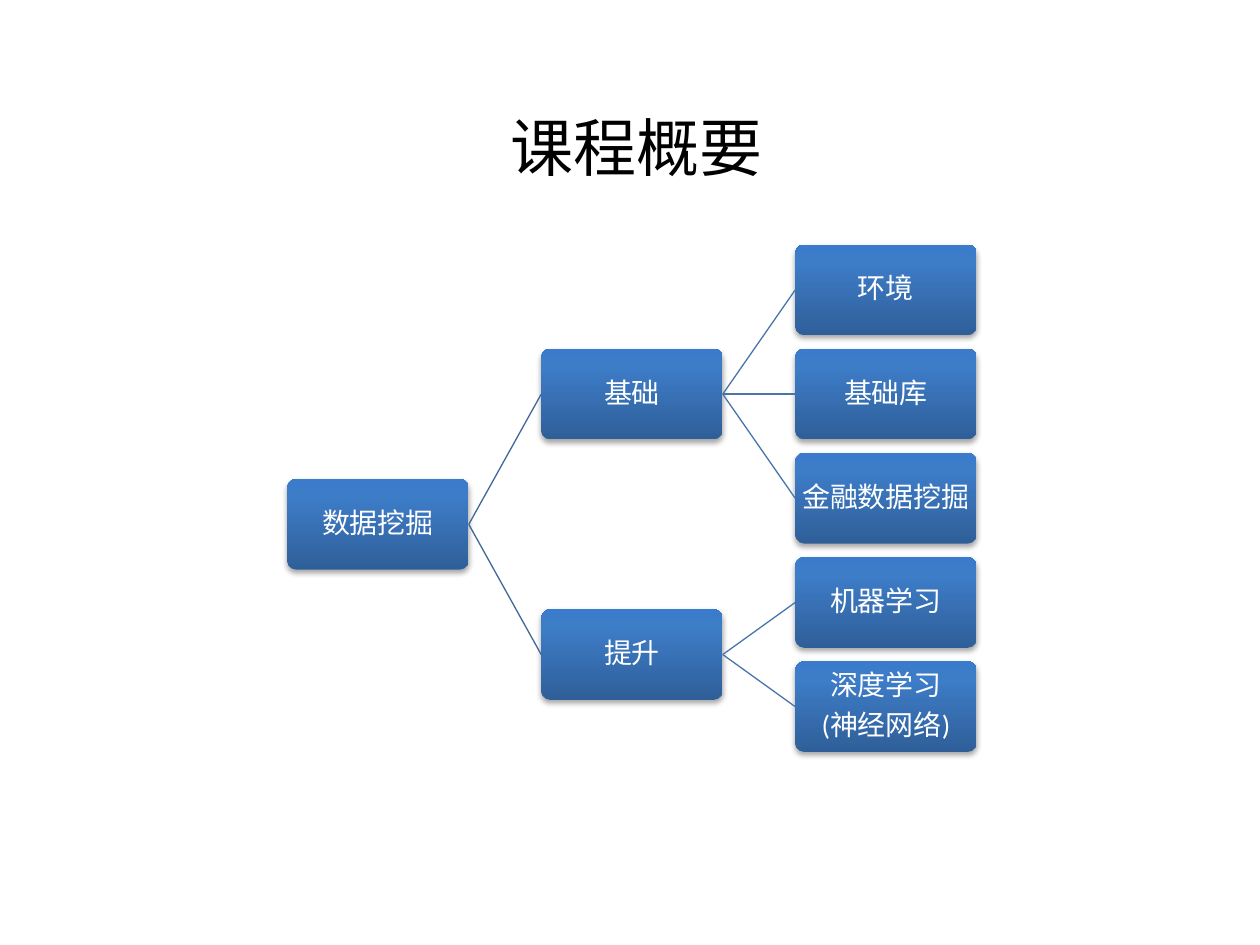
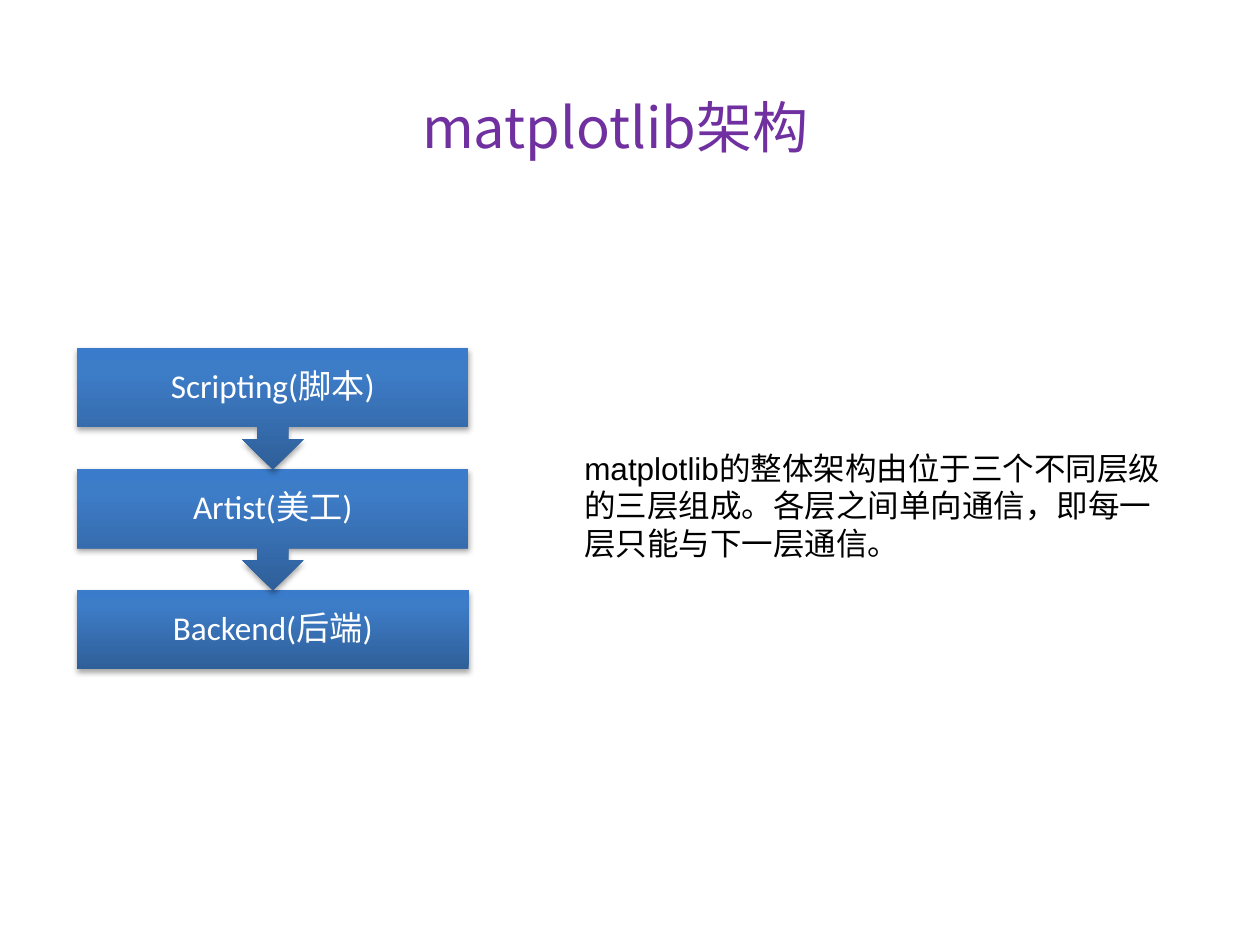
from copy import deepcopy

from lxml.etree import SubElement
from pptx import Presentation
from pptx.dml.color import RGBColor
from pptx.enum.shapes import MSO_CONNECTOR as Connector, MSO_SHAPE as Preset
from pptx.enum.text import MSO_ANCHOR as Anchor, PP_ALIGN as Align
from pptx.oxml.ns import qn
from pptx.util import Cm, Pt

COLORS = {
    "black": "000000",
    "white": "FFFFFF",
    "purple": "7030A0",
    "deep": "2F5F99",
    "middle": "3D7CC7",
    "bright": "3A7CCB",
    "trunk": "3F6797",
    "branch": "4875AC",
}
GRADIENT = [(0, "deep"), (0.8, "middle"), (1, "bright")]
SHADOW = {"blurRad": "40000", "dist": "23000", "dir": "5400000", "rotWithShape": "0"}
TITLE_FONT = "Noto Sans CJK JP"

NODE_WIDTH, NODE_HEIGHT = 3.66, 1.83
COLUMN_LEFT, COLUMN_PITCH = 5.79, 5.12
ROW_TOP, ROW_PITCH = 4.93, 2.1
COURSE = ("数据挖掘", [
    ("基础", [("环境", []), ("基础库", []), ("金融数据挖掘", [])]),
    ("提升", [("机器学习", []), ("深度学习\n(神经网络)", [])]),
])

LAYERS = ["Scripting(脚本)", "Artist(美工)", "Backend(后端)"]
LAYER_LEFT, LAYER_TOP, LAYER_PITCH = 1.55, 7.01, 2.44
LAYER_WIDTH, LAYER_HEIGHT, CALLOUT_HEIGHT = 7.9, 1.6, 2.46


def color(name):
    return RGBColor.from_string(COLORS[name])


def assign(target, values):
    for name, value in values.items():
        setattr(target, name, value)


class SlideBuilder:
    def __init__(self, deck):
        self.deck = deck
        self.page = None

    def new_page(self):
        self.page = self.deck.slides.add_slide(self.deck.slide_layouts[6])

    def set_text(self, shape, text, font, size, ink, frame=None, para_format=None):
        assign(shape.text_frame, {"word_wrap": True, **(frame or {})})
        shape.text_frame.text = text
        for para in shape.text_frame.paragraphs:
            assign(para, para_format or {})
            for span in para.runs:
                assign(span.font, {"name": font, "size": Pt(size)})
                span.font.color.rgb = color(ink)

    def text_box(self, place, *style, **formats):
        box = self.page.shapes.add_textbox(*map(Cm, place))
        self.set_text(box, *style, **formats)
        return box

    def title(self, place, text, size, ink):
        box = self.text_box(place, text, TITLE_FONT, size, ink,
                            frame={"vertical_anchor": Anchor.BOTTOM},
                            para_format={"alignment": Align.CENTER})
        span = box.text_frame.paragraphs[0].runs[0]
        SubElement(span.font._element, qn("a:ea"), typeface=TITLE_FONT)

    def block(self, preset, place, text, size, inset):
        shape = self.page.shapes.add_shape(preset, *map(Cm, place))
        shape.line.fill.background()
        self.shade(shape)
        margins = {f"margin_{side}": Cm(inset)
                   for side in ("left", "top", "right", "bottom")}
        self.set_text(shape, text, "Calibri", size, "white",
                      frame={"vertical_anchor": Anchor.MIDDLE, **margins},
                      para_format={"alignment": Align.CENTER, "line_spacing": 0.9,
                                   "space_after": Pt(size * 0.35)})
        return shape

    def shade(self, shape):
        shape.fill.gradient()
        shape.fill.gradient_angle = 90
        properties = shape._element.spPr
        stops = properties.find(".//" + qn("a:gsLst"))
        stops.append(deepcopy(stops[-1]))
        for stop, (position, name) in zip(shape.fill.gradient_stops, GRADIENT):
            stop.position = position
            stop.color.rgb = color(name)
        shape.shadow.inherit = False
        effects = properties.find(qn("a:effectLst"))
        shadow = SubElement(effects, qn("a:outerShdw"), SHADOW)
        tint = SubElement(shadow, qn("a:srgbClr"), val=COLORS["black"])
        SubElement(tint, qn("a:alpha"), val="35000")

    def link(self, parent, child, ink):
        line = self.page.shapes.add_connector(Connector.STRAIGHT, 0, 0, 0, 0)
        line.begin_connect(parent, 3)
        line.end_connect(child, 1)
        line.line.width = Pt(0.75)
        line.line.color.rgb = color(ink)
        SubElement(line._element.spPr, qn("a:effectLst"))

    def tree(self, branch, depth=0, row=0):
        text, children = branch
        placed, next_row = [], row
        for child in children:
            node, child_row, next_row = self.tree(child, depth + 1, next_row)
            placed.append((node, child_row))
        if placed:
            row = (placed[0][1] + placed[-1][1]) / 2
        else:
            next_row = row + 1
        place = (COLUMN_LEFT + depth * COLUMN_PITCH, ROW_TOP + row * ROW_PITCH,
                 NODE_WIDTH, NODE_HEIGHT)
        node = self.block(Preset.ROUNDED_RECTANGLE, place, text, 16, 0.03)
        node.adjustments[0] = 0.1
        for child_node, _ in placed:
            self.link(node, child_node, "branch" if depth else "trunk")
        return node, row, next_row


def course_outline(builder):
    builder.new_page()
    builder.title((1.55, 1.85, 22.58, 1.98), "课程概要", 36, "black")
    builder.tree(COURSE)


def architecture(builder):
    builder.new_page()
    builder.title((2.46, 1.57, 19.89, 1.78), "matplotlib架构", 32, "purple")
    last = len(LAYERS) - 1
    for index, layer in reversed(list(enumerate(LAYERS))):
        preset, height = ((Preset.RECTANGLE, LAYER_HEIGHT) if index == last
                          else (Preset.DOWN_ARROW_CALLOUT, CALLOUT_HEIGHT))
        place = (LAYER_LEFT, LAYER_TOP + index * LAYER_PITCH, LAYER_WIDTH, height)
        builder.block(preset, place, layer, 19, 0.38)
    builder.text_box((11.53, 8.92, 12.24, 2.57),
                     "matplotlib的整体架构由位于三个不同层级\n"
                     "的三层组成。各层之间单向通信，即每一\n"
                     "层只能与下一层通信。", "Arial", 18, "black")


def main():
    deck = Presentation()
    assign(deck, {"slide_width": Cm(25.4), "slide_height": Cm(19.05)})
    builder = SlideBuilder(deck)
    course_outline(builder)
    architecture(builder)
    deck.save("out.pptx")


if __name__ == "__main__":
    main()
